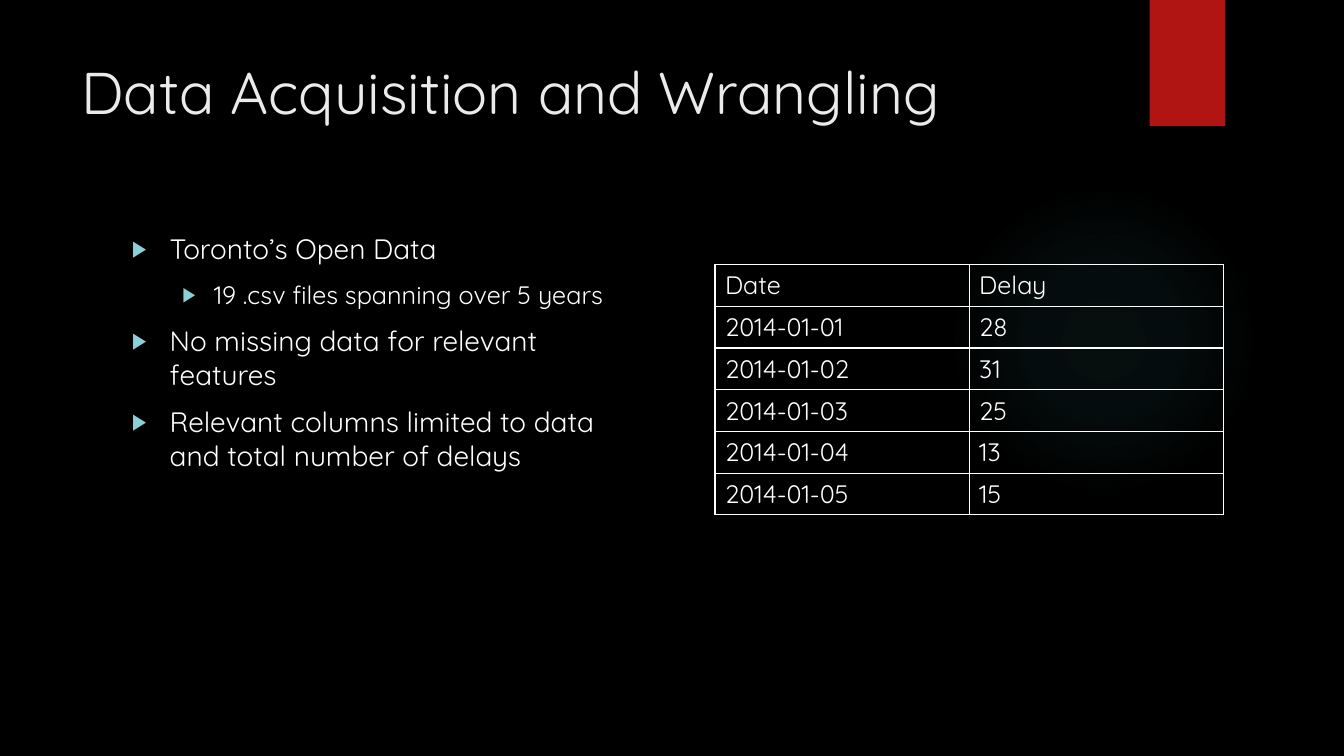
"""Build the data acquisition slide with its bullet list and delay table."""
from dataclasses import dataclass

from lxml.etree import _Element as Element
from pptx import Presentation
from pptx.dml.color import RGBColor
from pptx.enum.shapes import MSO_SHAPE as Preset
from pptx.enum.text import MSO_ANCHOR as Anchor, PP_ALIGN as Align
from pptx.oxml import parse_xml
from pptx.oxml.ns import nsdecls
from pptx.shapes.autoshape import Shape
from pptx.slide import Slide
from pptx.table import _Cell as Cell
from pptx.text.text import _Paragraph as Paragraph
from pptx.util import Emu, Pt

PX = 9525
FONT = "Quicksand"
COLOURS = {
    "background": "000000",
    "glow": "50B9C1",
    "ribbon": "B01513",
    "title": "EBEBEB",
    "text": "FFFFFF",
    "bullet": "8AD0D6",
}


@dataclass(frozen=True)
class Box:
    left: int
    top: int
    width: int
    height: int

    def emu(self) -> tuple[Emu, ...]:
        return tuple(px(n) for n in (self.left, self.top, self.width, self.height))


@dataclass(frozen=True)
class Level:
    size: int
    margin: int
    indent: int


@dataclass(frozen=True)
class Bullet:
    text: str
    level: int = 0


GLOW = Box(903, 176, 296, 296)
RIBBON = Box(1095, 0, 72, 120)
TITLE = Box(68, 48, 988, 147)
BODY = Box(116, 216, 484, 441)
TABLE = Box(681, 252, 484, 230)
LEVELS = [Level(20, 36, -36), Level(18, 78, -30)]
BULLETS = [
    Bullet("Toronto’s Open Data"),
    Bullet("19 .csv files spanning over 5 years", 1),
    Bullet("No missing data for relevant features"),
    Bullet("Relevant columns limited to data and total number of delays"),
]
DELAYS = [
    ("Date", "Delay"),
    ("2014-01-01", "28"),
    ("2014-01-02", "31"),
    ("2014-01-03", "25"),
    ("2014-01-04", "13"),
    ("2014-01-05", "15"),
]
GLOW_STOPS = [(0, 7), (36, 6), (69, 0)]


def px(length: int) -> Emu:
    return Emu(length * PX)


def colour(name: str) -> RGBColor:
    return RGBColor.from_string(COLOURS[name])


def element(tag: str, attributes: str = "", content: str = "") -> Element:
    return parse_xml(f"<a:{tag} {nsdecls('a')} {attributes}>{content}</a:{tag}>")


def place(shape: Shape, box: Box) -> None:
    shape.left, shape.top, shape.width, shape.height = box.emu()


def write(paragraph: Paragraph, text: str, size: int, name: str = "text") -> None:
    run = paragraph.add_run()
    run.text = text
    run.font.size = Pt(size)
    run.font.name = FONT
    run.font.color.rgb = colour(name)


def add_plain_shape(slide: Slide, preset: Preset, box: Box, name: str) -> Shape:
    shape = slide.shapes.add_shape(preset, *box.emu())
    shape.shadow.inherit = False
    shape.fill.solid()
    shape.fill.fore_color.rgb = colour(name)
    shape.line.fill.background()
    return shape


def add_glow(slide: Slide) -> None:
    glow = add_plain_shape(slide, Preset.OVAL, GLOW, "glow")
    stops = "".join(
        f'<a:gs pos="{position * 1000}"><a:srgbClr val="{COLOURS["glow"]}">'
        f'<a:alpha val="{alpha * 1000}"/></a:srgbClr></a:gs>'
        for position, alpha in GLOW_STOPS
    )
    centre = '<a:fillToRect l="50000" t="50000" r="50000" b="50000"/>'
    gradient = element(
        "gradFill", 'rotWithShape="1"',
        f'<a:gsLst>{stops}</a:gsLst><a:path path="circle">{centre}</a:path>',
    )
    properties = glow._element.spPr
    properties.replace(properties.find("{*}solidFill"), gradient)


def fill_title(title: Shape) -> None:
    place(title, TITLE)
    title.text_frame.vertical_anchor = Anchor.TOP
    paragraph = title.text_frame.paragraphs[0]
    paragraph.alignment = Align.LEFT
    write(paragraph, "Data Acquisition and Wrangling", 42, "title")


def format_bullet(paragraph: Paragraph, bullet: Bullet) -> None:
    level = LEVELS[bullet.level]
    paragraph.level = bullet.level
    paragraph.space_before = Pt(10)
    properties = paragraph._p.get_or_add_pPr()
    properties.set("marL", str(px(level.margin)))
    properties.set("indent", str(px(level.indent)))
    bullet_colour = f'<a:srgbClr val="{COLOURS["bullet"]}"/>'
    properties.append(element("buClr", content=bullet_colour))
    properties.append(element("buSzPct", 'val="80000"'))
    properties.append(element("buChar", 'char="▶"'))
    write(paragraph, bullet.text, level.size)


def fill_body(body: Shape) -> None:
    place(body, BODY)
    frame = body.text_frame
    frame.vertical_anchor = Anchor.TOP
    for index, bullet in enumerate(BULLETS):
        paragraph = frame.add_paragraph() if index else frame.paragraphs[0]
        format_bullet(paragraph, bullet)


def format_cell(cell: Cell, text: str) -> None:
    cell.fill.background()
    cell.vertical_anchor = Anchor.MIDDLE
    write(cell.text_frame.paragraphs[0], text, 18)
    line = f'<a:solidFill><a:srgbClr val="{COLOURS["text"]}"/></a:solidFill>'
    properties = cell._tc.get_or_add_tcPr()
    for index, side in enumerate("LRTB"):
        properties.insert(index, element(f"ln{side}", f'w="{Pt(1)}"', line))


def add_delay_table(slide: Slide) -> None:
    table = slide.shapes.add_table(len(DELAYS), len(DELAYS[0]), *TABLE.emu()).table
    table.first_row = False
    table.horz_banding = False
    for row, values in enumerate(DELAYS):
        for column, text in enumerate(values):
            format_cell(table.cell(row, column), text)


def main() -> None:
    presentation = Presentation()
    presentation.slide_width, presentation.slide_height = px(1280), px(720)
    slide = presentation.slides.add_slide(presentation.slide_layouts[1])
    slide.background.fill.solid()
    slide.background.fill.fore_color.rgb = colour("background")
    add_glow(slide)
    add_plain_shape(slide, Preset.RECTANGLE, RIBBON, "ribbon")
    fill_title(slide.shapes.title)
    fill_body(slide.placeholders[1])
    add_delay_table(slide)
    presentation.save("out.pptx")


if __name__ == "__main__":
    main()
